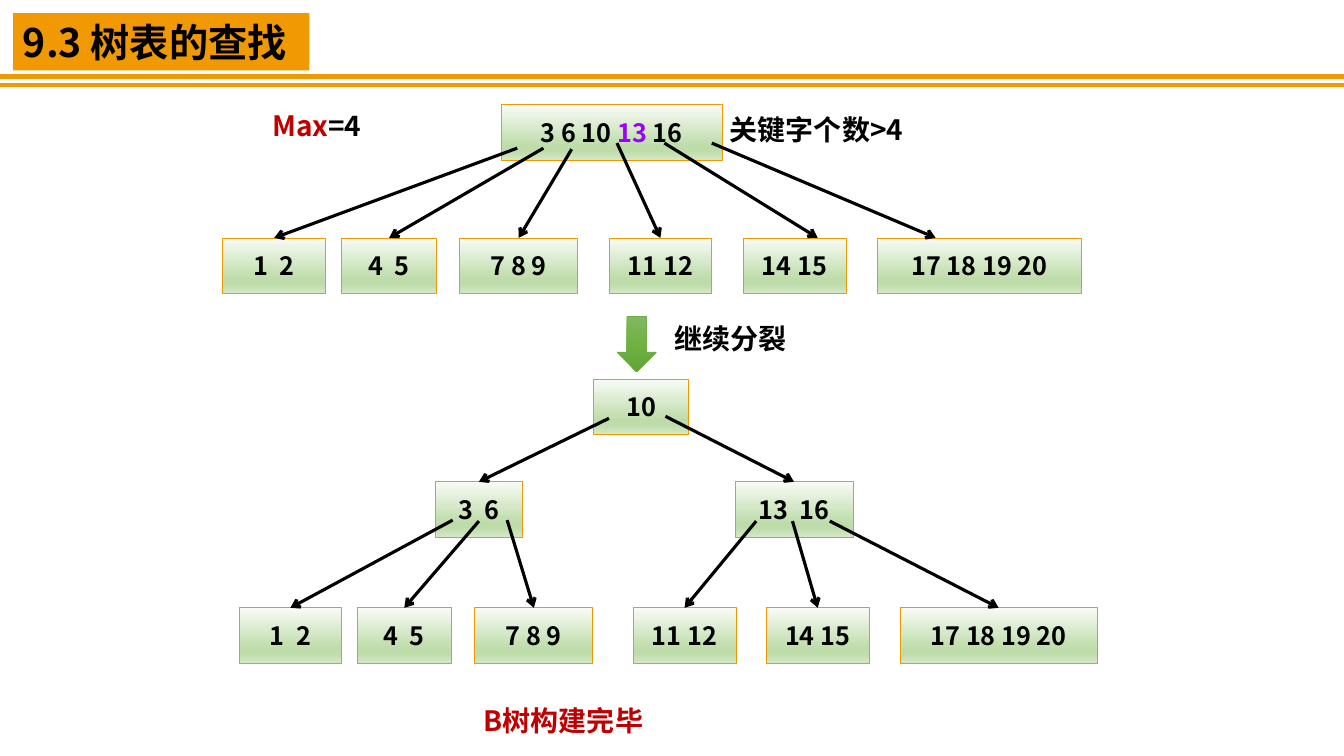
import pptx
import pptx.util
import pptx.dml.color
import pptx.enum.shapes
import pptx.enum.text
import pptx.oxml.ns
from lxml import etree

Inches, Pt = pptx.util.Inches, pptx.util.Pt
RGBColor = pptx.dml.color.RGBColor
MSO_SHAPE = pptx.enum.shapes.MSO_SHAPE
PP_ALIGN = pptx.enum.text.PP_ALIGN
MSO_ANCHOR = pptx.enum.text.MSO_ANCHOR
qn = pptx.oxml.ns.qn

ORANGE = RGBColor(0xF1, 0x99, 0x03)
GREEN = RGBColor(0x70, 0xAD, 0x47)
BLACK = RGBColor(0, 0, 0)
RED = RGBColor(0xC0, 0, 0)
PURPLE = RGBColor(0x99, 0, 0xFF)
NODE_STOPS = [(0, RGBColor(0xF8, 0xFB, 0xF6)), (74, RGBColor(0xBE, 0xDC, 0xAA)),
              (83, RGBColor(0xBE, 0xDC, 0xAA)), (100, RGBColor(0xD4, 0xE8, 0xC6))]
ARROW_STOPS = [(0, RGBColor(0x81, 0xB8, 0x61)), (50, RGBColor(0x6F, 0xB2, 0x42)),
               (100, RGBColor(0x62, 0xA3, 0x36))]
FONT = "Noto Sans CJK SC"
NODE_H = 0.55


def write(tf, runs, size, align=PP_ALIGN.LEFT):
    p = tf.paragraphs[0]
    p.alignment = align
    for text, color in runs:
        r = p.add_run()
        r.text = text
        for key, value in {"name": FONT, "size": Pt(size), "bold": True}.items():
            setattr(r.font, key, value)
        r.font.color.rgb = color
        ea = etree.SubElement(r.font._element, qn("a:ea"))
        ea.set("typeface", FONT)


def gradient_shape(kind, left, top, width, stops, line_color):
    s = shapes.add_shape(kind, Inches(left), Inches(top), Inches(width), Inches(NODE_H))
    s.shadow.inherit = False
    s.fill.gradient()
    s.fill.gradient_angle = 270
    stop_list = s._element.spPr.find(".//" + qn("a:gsLst"))
    stop_list.clear()
    for position, color in stops:
        stop = etree.SubElement(stop_list, qn("a:gs"), pos=str(position * 1000))
        etree.SubElement(stop, qn("a:srgbClr"), val=str(color))
    s.line.color.rgb = line_color
    s.line.width = Pt(0.5)
    return s


prs = pptx.Presentation()
prs.slide_width, prs.slide_height = Inches(13.33), Inches(7.5)
shapes = prs.slides.add_slide(prs.slide_layouts[6]).shapes

# Title band
s = shapes.add_shape(MSO_SHAPE.RECTANGLE, Inches(0.13), Inches(0.13), Inches(2.94), Inches(0.57))
s.shadow.inherit = False
s.fill.solid()
s.fill.fore_color.rgb = ORANGE
s.line.fill.background()
s.text_frame.word_wrap = False
write(s.text_frame, [("9.3 树表的查找", BLACK)], 28)

# Tree nodes: name, left, top, width, runs
FULL_TOP, LEAF_TOP, SPLIT_TOP, INNER_TOP, LAST_TOP = 1.04, 2.36, 3.76, 4.78, 6.03
node_specs = [
    ("full root", 4.97, FULL_TOP, 2.19, [("3 6 10 ", BLACK), ("13 ", PURPLE), ("16", BLACK)]),
    ("split root", 5.89, SPLIT_TOP, 0.94, [("10", BLACK)]),
    ("inner 1", 4.32, INNER_TOP, 0.86, [("3  6", BLACK)]),
    ("inner 2", 7.29, INNER_TOP, 1.17, [("13  16", BLACK)]),
]
leaf_texts = ["1  2", "4  5", "7 8 9", "11 12", "14 15", "17 18 19 20"]
leaf_rows = [
    ("upper", LEAF_TOP, [2.21, 3.39, 4.56, 6.04, 7.37, 8.7], [1.02, 0.94, 1.17, 1.02, 1.02, 2.03]),
    ("lower", LAST_TOP, [2.37, 3.54, 4.71, 6.28, 7.6, 8.93], [1.02, 0.94, 1.17, 1.02, 1.02, 1.95]),
]
for row, top, lefts, widths in leaf_rows:
    for i, (left, width, text) in enumerate(zip(lefts, widths, leaf_texts), 1):
        node_specs.append((f"{row} {i}", left, top, width, [(text, BLACK)]))

nodes = {}
for name, left, top, width, runs in node_specs:
    s = gradient_shape(MSO_SHAPE.RECTANGLE, left, top, width, NODE_STOPS, ORANGE)
    tf = s.text_frame
    tf.vertical_anchor = MSO_ANCHOR.MIDDLE
    tf.word_wrap = True
    tf.margin_left = tf.margin_right = 0
    write(tf, runs, 18, PP_ALIGN.CENTER)
    nodes[name] = s

# Title rules and tree arrows: start, end, child node joined at its top
lines = [(0, 0.76, 13.33, 0.76, None), (0, 0.84, 13.33, 0.84, None)]
rule_count = len(lines)
lines += [(6.59, 1.42, 8.11, LEAF_TOP, None), (7.06, 1.42, 9.28, LEAF_TOP, None)]
for x, y, child in [
    (5.13, 1.47, "upper 1"), (5.39, 1.47, "upper 2"),
    (5.67, 1.48, "upper 3"), (6.12, 1.42, "upper 4"),
    (6.04, 4.15, "inner 1"), (6.6, 4.13, "inner 2"),
    (4.49, 5.16, "lower 1"), (4.75, 5.17, "lower 2"), (5.03, 5.16, "lower 3"),
    (7.5, 5.17, "lower 4"), (7.86, 5.17, "lower 5"), (8.23, 5.17, "lower 6"),
]:
    lines.append((x, y, x, y, child))

for i, (x1, y1, x2, y2, child) in enumerate(lines):
    is_rule = i < rule_count
    c = shapes.add_connector(pptx.enum.shapes.MSO_CONNECTOR.STRAIGHT,
                             Inches(x1), Inches(y1), Inches(x2), Inches(y2))
    if child:
        c.end_connect(nodes[child], 0)
    c.line.color.rgb = ORANGE if is_rule else BLACK
    c.line.width = Pt(3 if is_rule else 2.25)
    if not is_rule:
        etree.SubElement(c.line._get_or_add_ln(), qn("a:tailEnd"), type="arrow")
    etree.SubElement(c._element.spPr, qn("a:effectLst"))

# Arrow to the split tree
gradient_shape(MSO_SHAPE.DOWN_ARROW, 6.12, 3.14, 0.39, ARROW_STOPS, GREEN)

# Labels
for left, top, width, runs in [
    (2.6, 1.03, 1.48, [("Max", RED), ("=4", BLACK)]),
    (7.14, 1.07, 2.19, [("关键字个数>4", BLACK)]),
    (6.59, 3.14, 1.48, [("继续分裂", BLACK)]),
    (4.7, 6.93, 3.47, [("B树构建完毕", RED)]),
]:
    s = shapes.add_textbox(Inches(left), Inches(top), Inches(width), Inches(0.44))
    s.text_frame.word_wrap = True
    write(s.text_frame, runs, 20)

prs.save("out.pptx")
